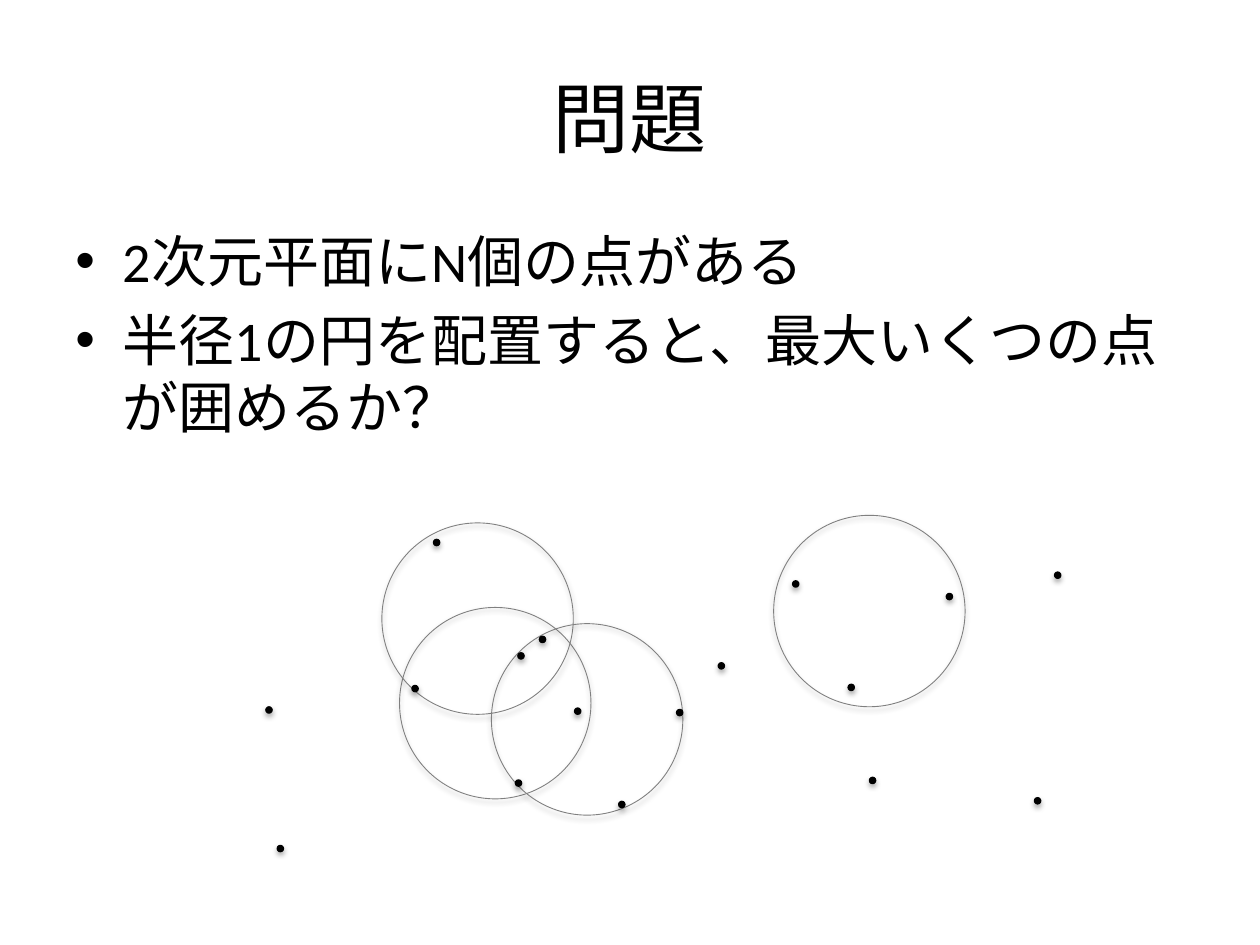
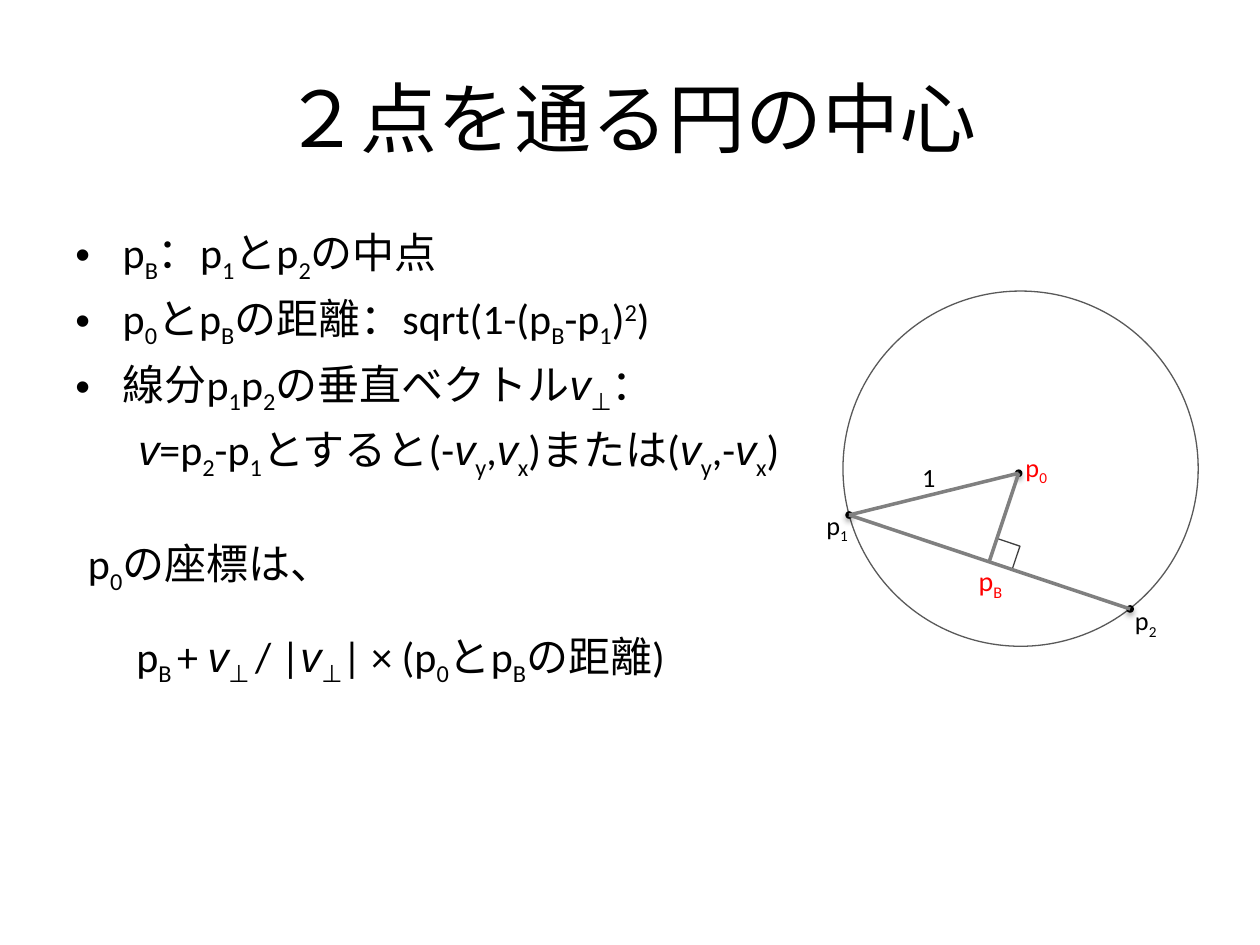
"""Build two slides on enclosing points of the plane with a unit circle."""
from dataclasses import dataclass
from itertools import groupby
from typing import Optional

from lxml import etree
from pptx import Presentation
from pptx.dml.color import RGBColor
from pptx.enum import shapes, text
from pptx.oxml import ns
from pptx.util import Pt

COLORS = {
    "ink": "000000",
    "accent": "FF0000",
    "paper": "FFFFFF",
    "line": "808080",
    "circle": "595959",
    "corner": "404040",
}
FONT = "Calibri"
VECTOR_FONT = "Arial"
MARKS = {"_": "sub", "^": "super", "~": "vector"}
BASELINES = {"sub": "-25000", "super": "30000"}
DOT_RADIUS = 1.8


@dataclass
class Line:
    """A paragraph; _ ^ ~ make the next character sub, super or a vector."""
    content: str
    size: float
    color: str = "ink"
    align: text.PP_ALIGN = text.PP_ALIGN.LEFT
    before: float = 0
    indent: float = 0
    bullet: bool = False


@dataclass
class Circle:
    """A circle given by its centre and radius."""
    x: float
    y: float
    radius: float
    line: str
    width: float
    fill: Optional[str] = None
    shadow: bool = True


@dataclass
class Label:
    """A short name beside a point of the drawing."""
    content: str
    left: float
    top: float
    width: float
    size: float = 15
    color: str = "ink"


def rgb(name: str) -> RGBColor:
    """Look up a named colour."""
    return RGBColor.from_string(COLORS[name])


def add_effects(shape, shadow: bool = False) -> None:
    """Give a shape a soft lower shadow, or none at all."""
    effects = etree.SubElement(shape._element.spPr, ns.qn("a:effectLst"))
    if shadow:
        outer = etree.SubElement(
            effects, ns.qn("a:outerShdw"), blurRad=str(Pt(3.1)),
            dist=str(Pt(1.8)), dir="5400000", rotWithShape="0")
        color = etree.SubElement(outer, ns.qn("a:srgbClr"), val=COLORS["ink"])
        etree.SubElement(color, ns.qn("a:alpha"), val="35000")


def add_outline(slide, kind, left: float, top: float, size: float, line: str,
                width: float, fill: Optional[str], shadow: bool):
    """Draw a square preset shape."""
    shape = slide.shapes.add_shape(kind, Pt(left), Pt(top), Pt(size), Pt(size))
    if fill:
        shape.fill.solid()
        shape.fill.fore_color.rgb = rgb(fill)
    else:
        shape.fill.background()
    shape.line.color.rgb = rgb(line)
    shape.line.width = Pt(width)
    add_effects(shape, shadow)
    return shape


def add_circle(slide, circle: Circle) -> None:
    """Draw a circle around its centre."""
    add_outline(slide, shapes.MSO_SHAPE.OVAL, circle.x - circle.radius,
                circle.y - circle.radius, 2 * circle.radius, circle.line,
                circle.width, circle.fill, circle.shadow)


def add_dot(slide, x: float, y: float) -> None:
    """Draw a point."""
    add_circle(slide, Circle(x, y, DOT_RADIUS, "ink", 0.75, "ink"))


def add_segment(slide, start: tuple[float, float], end: tuple[float, float]) -> None:
    """Draw a straight segment between two points."""
    segment = slide.shapes.add_connector(
        shapes.MSO_CONNECTOR.STRAIGHT, *map(Pt, start), *map(Pt, end))
    segment.line.color.rgb = rgb("line")
    segment.line.width = Pt(2)
    add_effects(segment)


def styled_characters(content: str) -> list[tuple[str, str]]:
    """Split marked text into pairs of style and character."""
    pairs, style = [], ""
    for character in content:
        if character in MARKS:
            style = MARKS[character]
        else:
            pairs.append((style, character))
            style = ""
    return pairs


def fill_paragraph(paragraph, line: Line) -> None:
    """Write and format one paragraph."""
    paragraph.alignment = line.align
    paragraph.space_before = Pt(line.before)
    properties = paragraph._p.get_or_add_pPr()
    hanging = 27 if line.bullet else 0
    properties.set("marL", str(Pt(hanging)))
    properties.set("indent", str(Pt(line.indent - hanging)))
    if line.bullet:
        etree.SubElement(properties, ns.qn("a:buFont"), typeface="Arial")
        etree.SubElement(properties, ns.qn("a:buChar"), char="•")
    paragraph.font.name = FONT
    paragraph.font.size = Pt(line.size)
    paragraph.font.color.rgb = rgb(line.color)
    for style, pairs in groupby(styled_characters(line.content), lambda pair: pair[0]):
        run = paragraph.add_run()
        run.text = "".join(character for _, character in pairs)
        if style == "vector":
            run.font.name = VECTOR_FONT
            run.font.italic = True
        elif style:
            run._r.get_or_add_rPr().set("baseline", BASELINES[style])


def add_text(slide, left: float, top: float, width: float, height: float,
             lines: list[Line], anchor=text.MSO_ANCHOR.TOP) -> None:
    """Place a text box with the given paragraphs."""
    frame = slide.shapes.add_textbox(
        Pt(left), Pt(top), Pt(width), Pt(height)).text_frame
    frame.word_wrap = True
    frame.vertical_anchor = anchor
    for index, line in enumerate(lines):
        fill_paragraph(
            frame.add_paragraph() if index else frame.paragraphs[0], line)


def add_titled_slide(presentation, title: str):
    """Add a blank slide with the shared title style."""
    slide = presentation.slides.add_slide(presentation.slide_layouts[6])
    add_text(slide, 36, 21.6, 648, 90,
             [Line(title, 44, align=text.PP_ALIGN.CENTER)], text.MSO_ANCHOR.MIDDLE)
    return slide


def build_problem(presentation) -> None:
    """Build the slide that states the problem."""
    slide = add_titled_slide(presentation, "問題")
    statements = ["2次元平面にN個の点がある",
                  "半径1の円を配置すると、最大いくつの点が囲めるか？"]
    add_text(slide, 36, 126, 648, 134,
             [Line(item, 32, before=6.4, bullet=True) for item in statements])
    centres = [(283, 401.8), (496.8, 349.2), (272.9, 353.5), (335.5, 411.1)]
    for x, y in centres:
        add_circle(slide, Circle(x, y, 54.7, "line", 0.5))
    points = [
        (237.2, 393.5), (296.3, 447.5), (297.7, 374.8), (330.1, 406.4),
        (355.3, 459.7), (412.2, 380.5), (153.7, 405.7), (486.4, 392.8),
        (498.6, 446), (592.9, 457.6), (604.4, 328.7), (542.5, 340.9),
        (454.7, 333.7), (249.5, 310), (310, 365.4), (160.2, 484.9),
        (388.4, 407.2),
    ]
    for x, y in points:
        add_dot(slide, x, y)


def build_centre(presentation) -> None:
    """Build the slide that derives the centre of a circle through two points."""
    slide = add_titled_slide(presentation, "２点を通る円の中心")
    corner = add_outline(slide, shapes.MSO_SHAPE.DIAMOND, 564.5, 306.7, 19.4,
                         "corner", 0.75, "paper", False)
    corner.rotation = 333.6
    add_circle(slide, Circle(583.2, 267.8, 101.5, "circle", 0.75, shadow=False))
    first, second, centre = (485.2, 294.3), (645.8, 348), (582.1, 270.4)
    for point in (first, second, centre):
        add_dot(slide, *point)
    for start, end in ((first, second), (centre, (565.2, 321.1)), (centre, first)):
        add_segment(slide, start, end)

    facts = ["p_B：p_1とp_2の中点",
             "p_0とp_Bの距離：sqrt(1-(p_B-p_1)^2)",
             "線分p_1p_2の垂直ベクトル~v_⊥："]
    vector = "~v=p_2-p_1とすると(-~v_y,~v_x)または(~v_y,-~v_x)"
    add_text(slide, 36, 126, 422, 161.3,
             [Line(fact, 24, before=4.8, bullet=True) for fact in facts]
             + [Line(vector, 24, before=4.8, indent=36)])
    add_text(slide, 43.2, 303.8, 371.5, 114.5, [
        Line("p_0の座標は、", 24, before=4.8),
        Line("p_B_ + ~v_⊥_ / |~v_⊥| × (p_0とp_Bの距離)", 24,
             align=text.PP_ALIGN.CENTER, before=20),
    ])
    labels = [
        Label("1", 519.8, 259.9, 18),
        Label("p_1", 465.1, 287.3, 33.1),
        Label("p_2", 641.5, 342, 33.1),
        Label("p_B", 552.2, 318.2, 28.8, 16, "accent"),
        Label("p_0", 578.9, 254.2, 29.5, color="accent"),
    ]
    for label in labels:
        add_text(slide, label.left, label.top, label.width, 25.2,
                 [Line(label.content, label.size, label.color)])


def main() -> None:
    """Create and save the presentation."""
    presentation = Presentation()
    presentation.slide_width = Pt(720)
    presentation.slide_height = Pt(540)
    build_problem(presentation)
    build_centre(presentation)
    presentation.save("out.pptx")


main()
